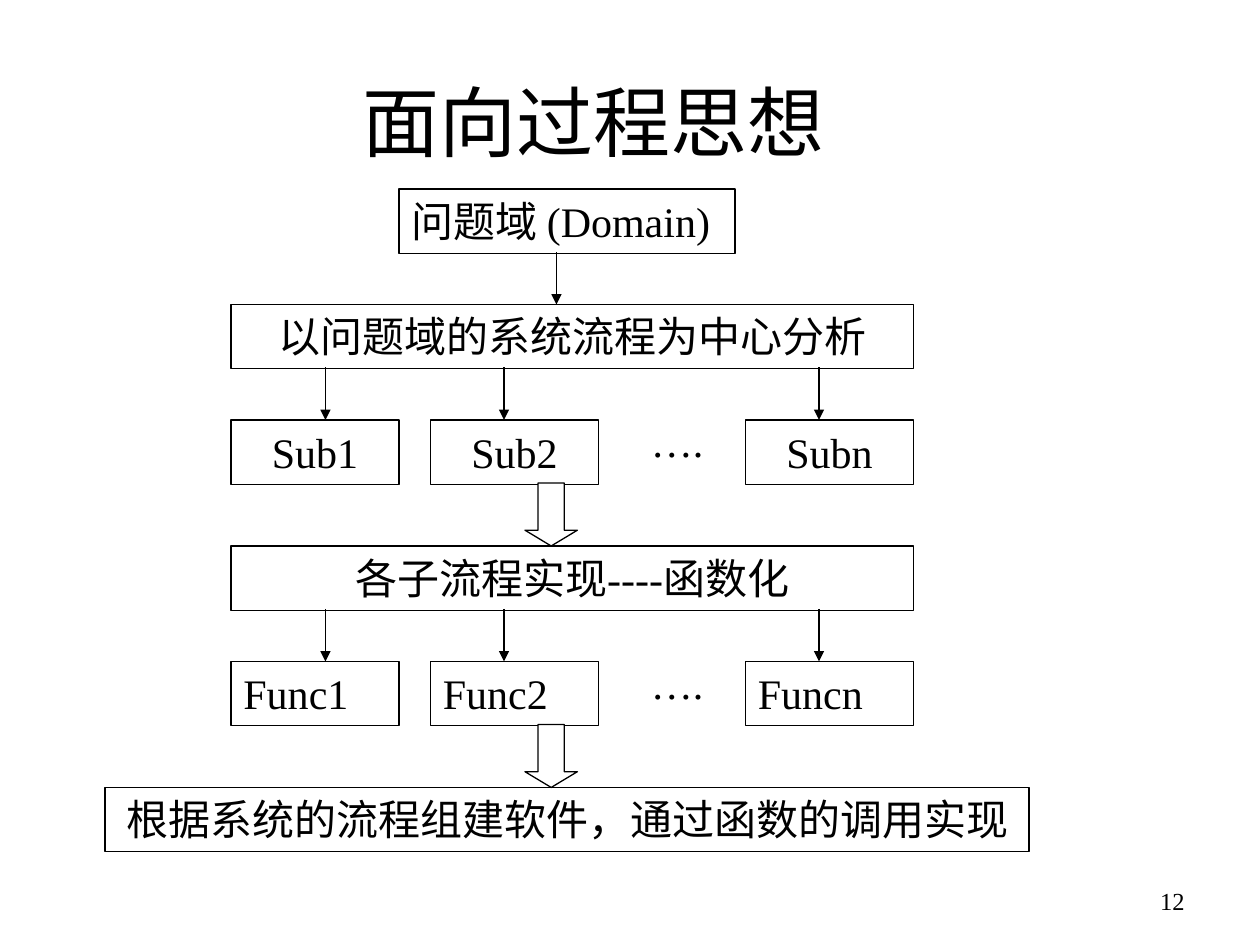
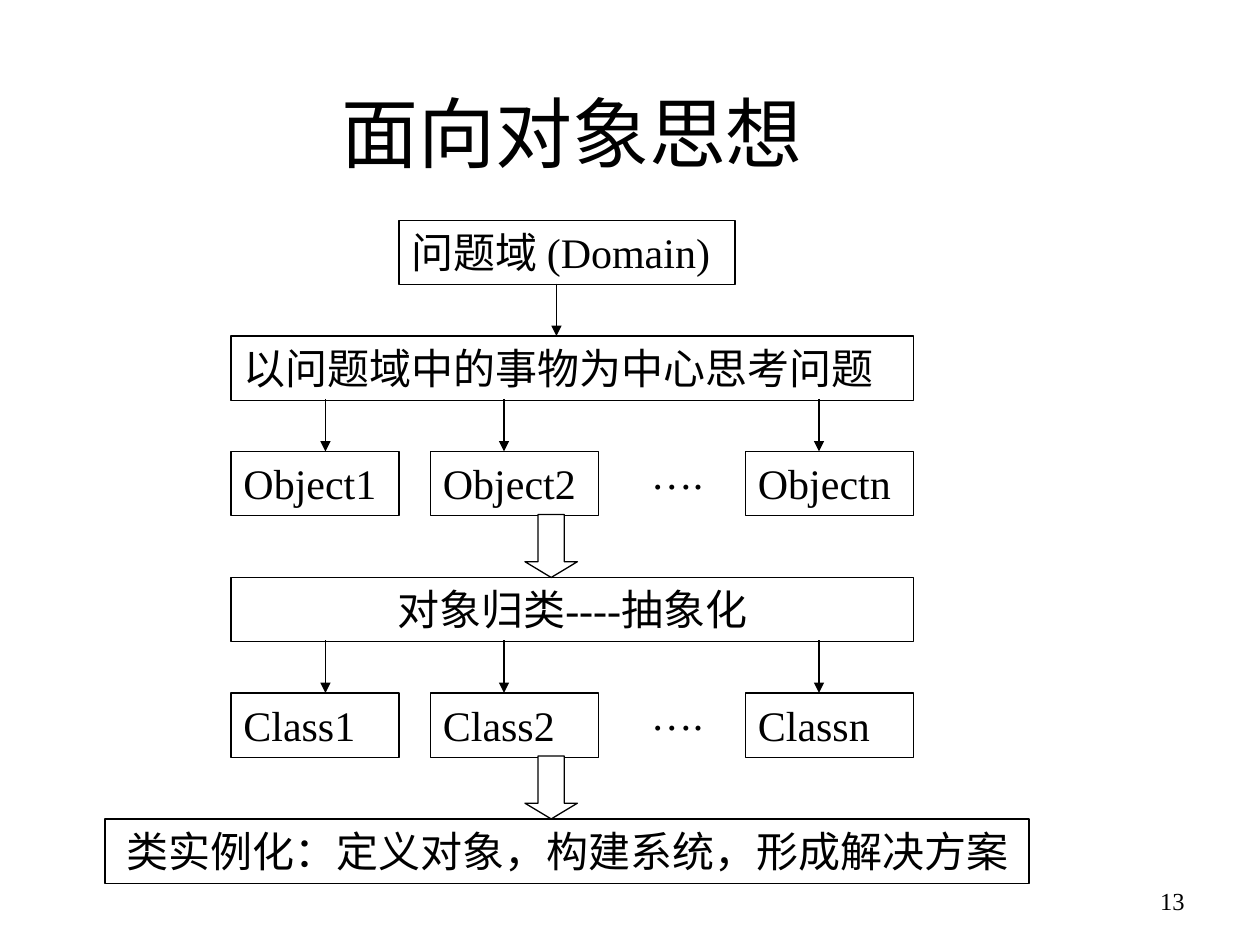
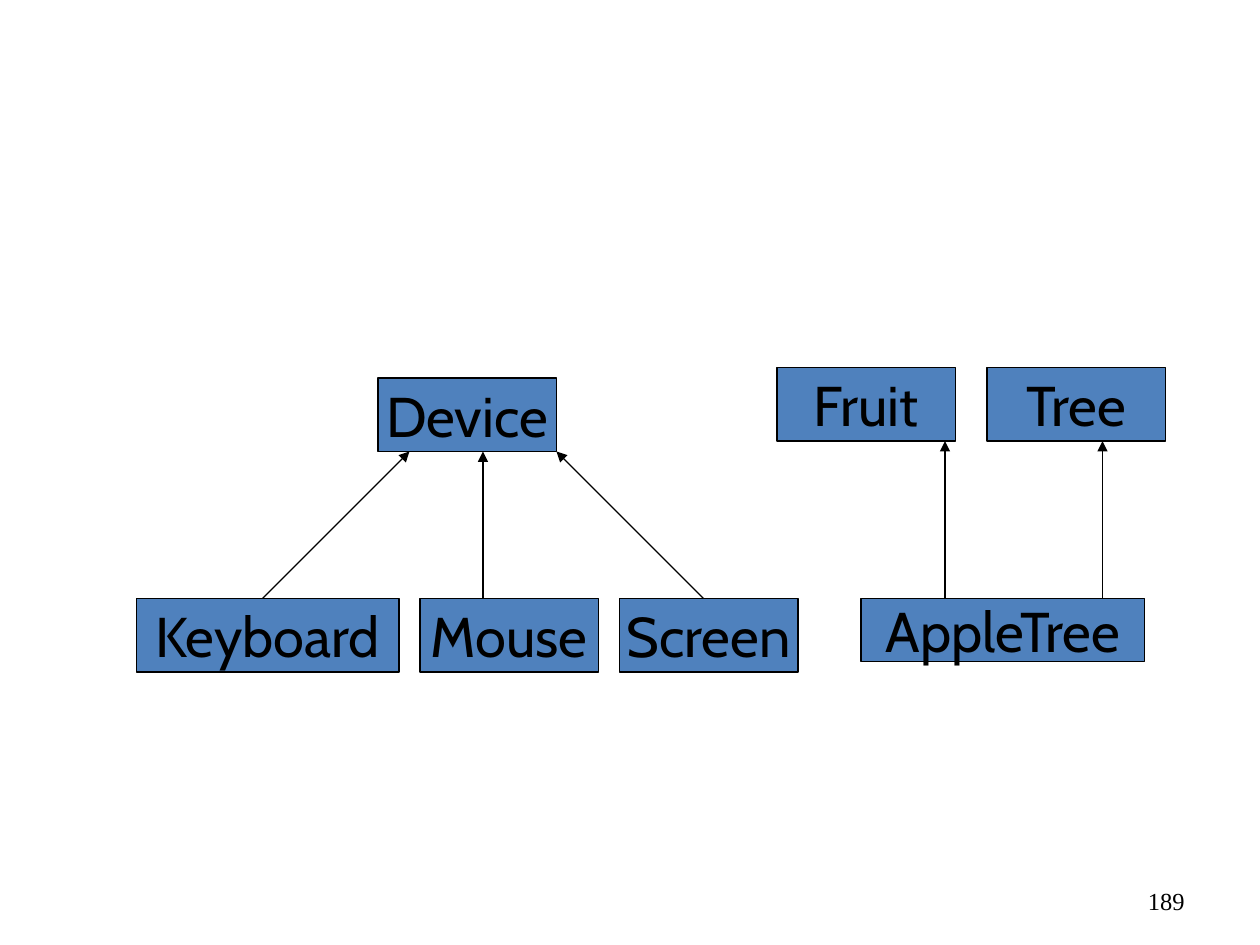
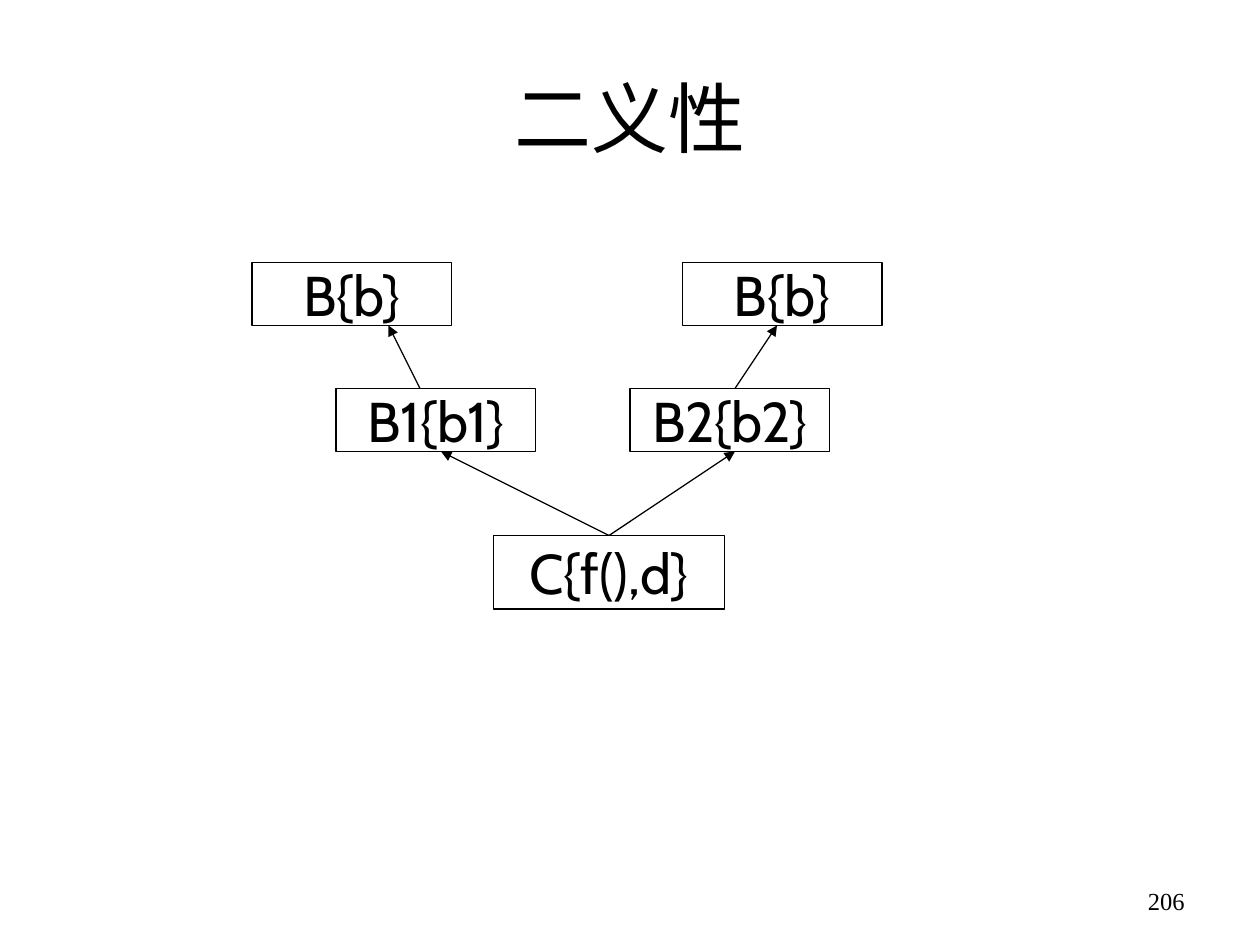
import pptx
import pptx.dml.color
import pptx.enum.shapes
import pptx.enum.text
import pptx.oxml
import pptx.oxml.ns
import pptx.util

PX = 9525  # EMU in one px, 96 px to the inch
BLACK = "000000"
WHITE = "FFFFFF"
BLUE = "4F81BD"
SERIF = "Times New Roman"
LINE_WIDTH = pptx.util.Pt(0.75)

color = pptx.dml.color.RGBColor.from_string
rectangle = pptx.enum.shapes.MSO_SHAPE.RECTANGLE
fit_shape = pptx.enum.text.MSO_AUTO_SIZE.SHAPE_TO_FIT_TEXT
top_anchor = pptx.enum.text.MSO_ANCHOR.TOP
middle = pptx.enum.text.MSO_ANCHOR.MIDDLE
left_align = pptx.enum.text.PP_ALIGN.LEFT
center = pptx.enum.text.PP_ALIGN.CENTER
right_align = pptx.enum.text.PP_ALIGN.RIGHT


def add_text(slide, text, left, top, width, height, *, size, font=SERIF, align=center,
             anchor=middle, wrap=True, grow=False, framed=False, fill=None):
    """Add a text box, or an outlined rectangle when framed."""
    bounds = [length * PX for length in (left, top, width, height)]
    if framed:
        shape = slide.shapes.add_shape(rectangle, *bounds)
        shape.shadow.inherit = False
        shape.line.color.rgb = color(BLACK)
        shape.line.width = LINE_WIDTH
        if fill:
            shape.fill.solid()
            shape.fill.fore_color.rgb = color(fill)
        else:
            shape.fill.background()
    else:
        shape = slide.shapes.add_textbox(*bounds)
    frame = shape.text_frame
    frame.word_wrap = wrap
    frame.vertical_anchor = anchor
    if grow:
        frame.auto_size = fit_shape
    paragraph = frame.paragraphs[0]
    paragraph.alignment = align
    run = paragraph.add_run()
    run.text = text
    run.font.size = pptx.util.Pt(size)
    run.font.name = font
    run.font.color.rgb = color(BLACK)


def add_arrow(slide, *ends):
    """Add a thin arrow; ends are start x, start y, end x, end y."""
    arrow = slide.shapes.add_connector(
        pptx.enum.shapes.MSO_CONNECTOR.STRAIGHT, *[end * PX for end in ends])
    arrow.line.color.rgb = color(BLACK)
    arrow.line.width = LINE_WIDTH
    namespace = pptx.oxml.ns.nsdecls("a")
    arrow.line._get_or_add_ln().append(
        pptx.oxml.parse_xml(f'<a:tailEnd {namespace} type="triangle"/>'))
    arrow._element.spPr.append(pptx.oxml.parse_xml(f"<a:effectLst {namespace}/>"))


presentation = pptx.Presentation()
presentation.slide_width = 960 * PX
presentation.slide_height = 720 * PX

# What all slides share: page number and, where there is one, the title
pages = [
    (12, "面向过程思想", (80, 16, 744, 152)),
    (13, "面向对象思想", (64, 24, 744, 152)),
    (189, None, None),
    (206, "二义性", (48, 29, 864, 120)),
]
for number, title, title_bounds in pages:
    slide = presentation.slides.add_slide(presentation.slide_layouts[6])
    add_text(slide, str(number), 688, 667, 224, 38, size=14, align=right_align)
    if title:
        add_text(slide, title, *title_bounds, size=44, font="Calibri")
process_slide, object_slide, device_slide, ambiguity_slide = presentation.slides

# Flow charts: a domain box, two stages split into parts, a conclusion
BOX_HEIGHT = 49
ROW_STEP = 88
STAGE_STEP = 184
BLOCK_ARROW_HEIGHT = 48
flow_format = dict(size=24, anchor=top_anchor, grow=True)
box_format = dict(flow_format, framed=True)
part_columns = [(176, 248), (328, 384), (568, 624)]  # box left, arrow x
flows = [
    (process_slide, 144,
     [("以问题域的系统流程为中心分析", center, "Sub", center),
      ("各子流程实现----函数化", center, "Func", left_align)],
     "根据系统的流程组建软件，通过函数的调用实现"),
    (object_slide, 168,
     [("以问题域中的事物为中心思考问题", left_align, "Object", left_align),
      ("对象归类----抽象化", center, "Class", left_align)],
     "类实例化：定义对象，构建系统，形成解决方案"),
]
for slide, domain_top, stages, conclusion in flows:
    add_text(slide, "问题域 (Domain)", 304, domain_top, 256, BOX_HEIGHT,
             align=left_align, **box_format)
    stage_top = domain_top + ROW_STEP
    add_arrow(slide, 424, domain_top + 48, 424, stage_top)
    for heading, heading_align, part, part_align in stages:
        part_top = stage_top + ROW_STEP
        add_text(slide, heading, 176, stage_top, 520, BOX_HEIGHT,
                 align=heading_align, **box_format)
        for suffix, (part_left, arrow_x) in zip("12n", part_columns):
            add_text(slide, part + suffix, part_left, part_top, 128, BOX_HEIGHT,
                     align=part_align, **box_format)
            add_arrow(slide, arrow_x, stage_top + 48, arrow_x, part_top)
        add_text(slide, "….", 472, part_top - 8, 88, 48, **flow_format)
        stage_top += STAGE_STEP
        block_arrow = slide.shapes.add_shape(
            pptx.enum.shapes.MSO_SHAPE.DOWN_ARROW, 400 * PX,
            (stage_top - BLOCK_ARROW_HEIGHT) * PX, 40 * PX, BLOCK_ARROW_HEIGHT * PX)
        block_arrow.adjustments[1] = 0.3
        block_arrow.shadow.inherit = False
        block_arrow.fill.solid()
        block_arrow.fill.fore_color.rgb = color(WHITE)
        block_arrow.line.color.rgb = color(BLACK)
        block_arrow.line.width = LINE_WIDTH
    add_text(slide, conclusion, 80, stage_top, 704, BOX_HEIGHT, **box_format)

# Inheritance diagrams: class boxes, and arrows from derived to base class
diagrams = [
    (device_slide, BLUE,
     [("Mouse", 320, 456, 136, 56),
      ("Screen", 472, 456, 136, 56),
      ("Device", 288, 288, 136, 56),
      ("Keyboard", 104, 456, 200, 56),
      ("Tree", 752, 280, 136, 56),
      ("AppleTree", 656, 456, 216, 48),
      ("Fruit", 592, 280, 136, 56)],
     [(200, 456, 312, 344),
      (368, 456, 368, 344),
      (536, 456, 424, 344),
      (720, 456, 720, 336),
      (840, 456, 840, 336)]),
    (ambiguity_slide, None,
     [("B{b}", 192, 200, 152, 48),
      ("B1{b1}", 256, 296, 152, 48),
      ("C{f(),d}", 376, 408, 176, 56),
      ("B{b}", 520, 200, 152, 48),
      ("B2{b2}", 480, 296, 152, 48)],
     [(464, 408, 560, 344),
      (464, 408, 336, 344),
      (560, 296, 592, 248),
      (320, 296, 296, 248)]),
]
for slide, fill, classes, arrows in diagrams:
    for class_name, *bounds in classes:
        add_text(slide, class_name, *bounds, size=32, font="Cabin",
                 wrap=False, framed=True, fill=fill)
    for ends in arrows:
        add_arrow(slide, *ends)

presentation.save("out.pptx")
